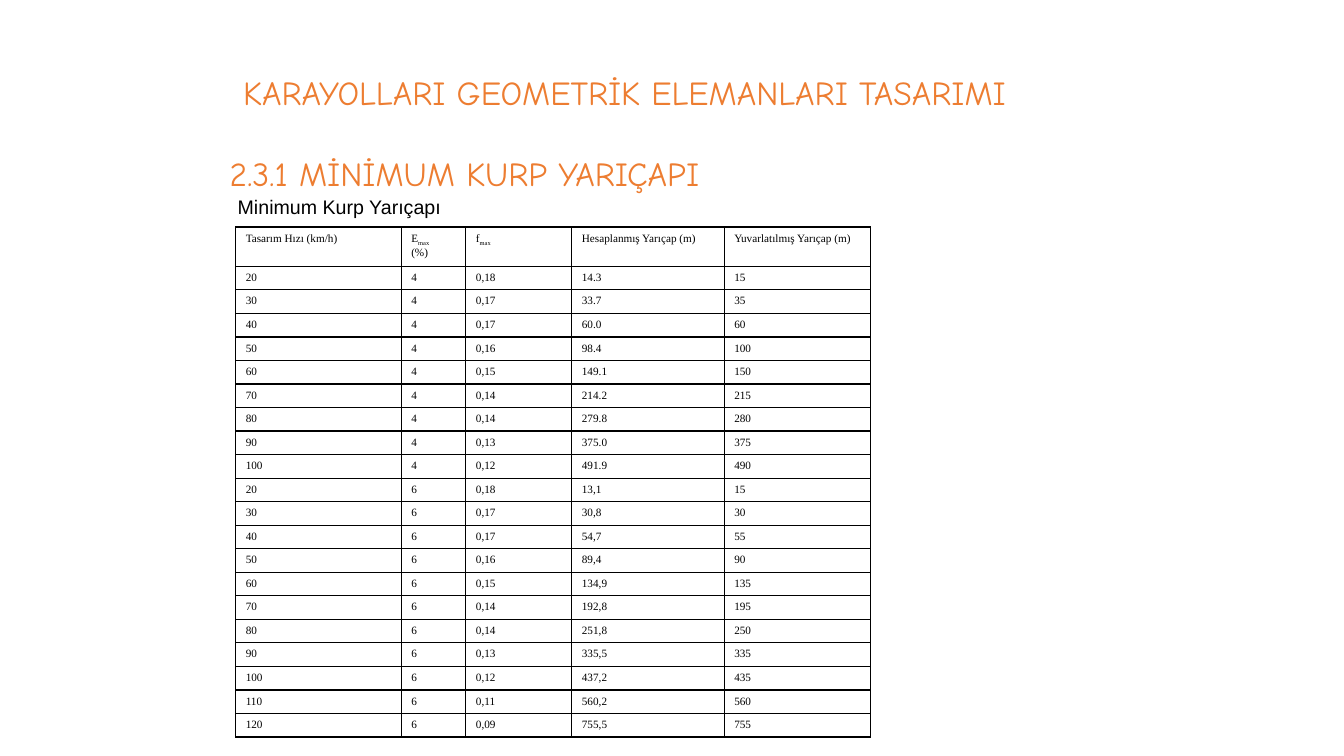
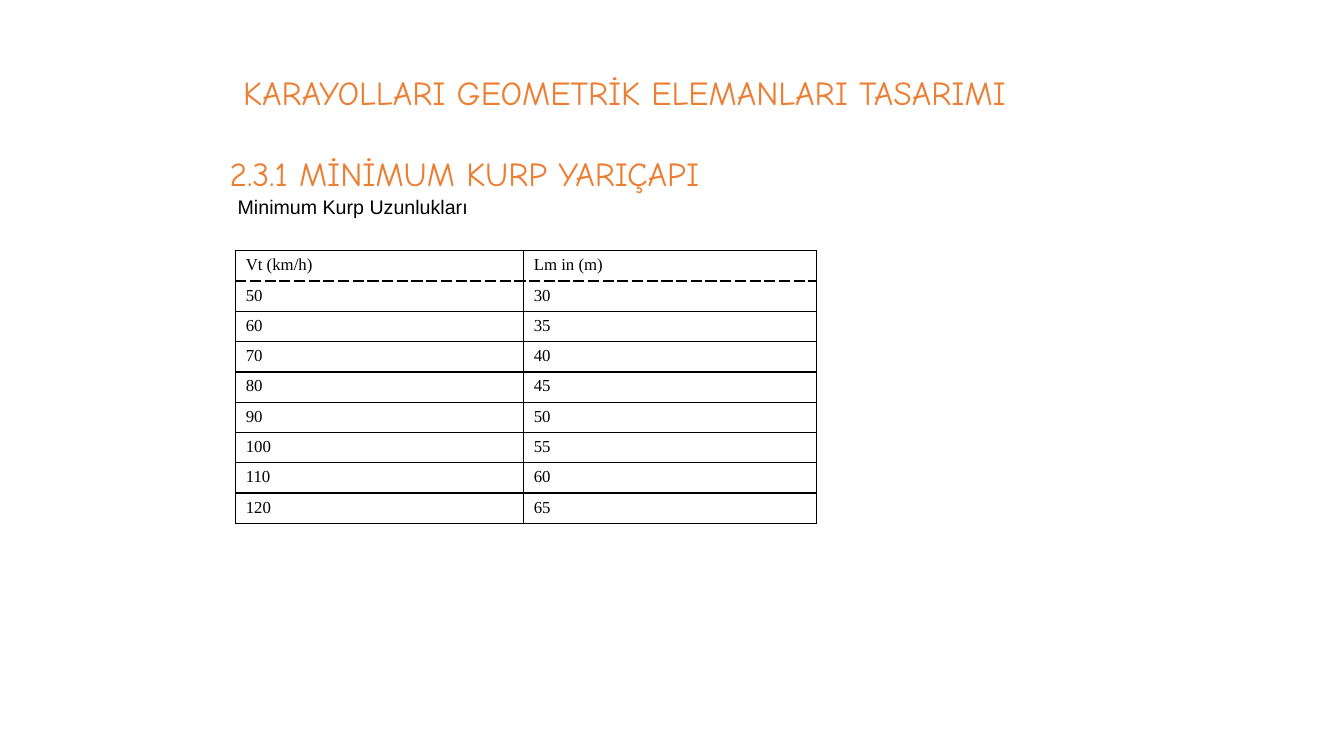
from dataclasses import dataclass

import pptx
import pptx.dml.color
import pptx.enum.text
import pptx.oxml
import pptx.oxml.ns
import pptx.presentation
import pptx.slide
import pptx.table
import pptx.text.text
import pptx.util

Cm = pptx.util.Cm
Anchor = pptx.enum.text.MSO_ANCHOR
Align = pptx.enum.text.PP_ALIGN

# Shared look
COLORS = {"accent": "ED7D31", "text": "000000", "border": "000000", "background": "FFFFFF"}
HEADING_FONT, BODY_FONT, TABLE_FONT = "Comic Neue", "Arial", "Times New Roman"
TABLE_LEFT = 5.94
RIGHT_INSET = 0.46
BORDER_WIDTH = 1


@dataclass(frozen=True)
class TextRun:
    text: str
    size: float
    font: str
    color: str = "text"
    bold: bool = False
    subscript: bool = False


@dataclass(frozen=True)
class TextBox:
    left: float
    top: float
    width: float
    height: float
    runs: list[TextRun]
    anchor: Anchor = Anchor.TOP
    align: Align = Align.LEFT
    line_spacing: float = 1.0
    wrap: bool = True
    right_inset: float = 0.25


@dataclass(frozen=True)
class DataTable:
    top: float
    columns: list[float]
    header_height: float
    row_height: float
    size: float
    header: list[list[str]]  # parts alternate between normal and subscript
    rows: list[list[str]]
    dashed_header: bool = False


@dataclass(frozen=True)
class TableSlide:
    caption: str
    caption_width: float
    table: DataTable


# Headings found on every slide
HEADINGS = [
    TextBox(4.93, 1.02, 21.62, 2.51,
            [TextRun("KARAYOLLARI GEOMETRİK ELEMANLARI TASARIMI", 24, HEADING_FONT, "accent")],
            anchor=Anchor.MIDDLE, align=Align.CENTER, line_spacing=1.1),
    TextBox(5.54, 3.73, 22.2, 1.27,
            [TextRun("2.3.1 MİNİMUM KURP YARIÇAPI", 24, HEADING_FONT, "accent")]),
]

# Curve radii: friction depends on speed, radii on speed and superelevation
SPEEDS = range(20, 130, 10)
FRICTION = ["0,18", "0,17", "0,17", "0,16", "0,15", "0,14", "0,14", "0,13", "0,12", "0,11", "0,09"]
RADII = {
    "4": [("14.3", "15"), ("33.7", "35"), ("60.0", "60"), ("98.4", "100"), ("149.1", "150"),
          ("214.2", "215"), ("279.8", "280"), ("375.0", "375"), ("491.9", "490")],
    "6": [("13,1", "15"), ("30,8", "30"), ("54,7", "55"), ("89,4", "90"), ("134,9", "135"),
          ("192,8", "195"), ("251,8", "250"), ("335,5", "335"), ("437,2", "435"),
          ("560,2", "560"), ("755,5", "755")],
}
RADIUS_ROWS = [
    [str(speed), superelevation, friction, *radii]
    for superelevation, radius_pairs in RADII.items()
    for speed, friction, radii in zip(SPEEDS, FRICTION, radius_pairs)
]

# Curve lengths: 5 m more for every 10 km/h
LENGTH_ROWS = [[str(speed), str(speed // 2 + 5)] for speed in range(50, 130, 10)]

SLIDES = [
    TableSlide("Minimum Kurp Yarıçapı", 6.02, DataTable(
        5.72, [4.17, 1.63, 2.67, 3.84, 3.69], 0.98, 0.59, 8,
        [["Tasarım Hızı (km/h)"], ["E", "max", " (%)"], ["f", "max"],
         ["Hesaplanmış Yarıçap (m)"], ["Yuvarlatılmış Yarıçap (m)"]],
        RADIUS_ROWS)),
    TableSlide("Minimum Kurp Uzunlukları", 6.63, DataTable(
        6.32, [7.26, 7.37], 0.76, 0.76, 12,
        [["Vt (km/h)"], ["Lm in (m)"]],
        LENGTH_ROWS, dashed_header=True)),
]
# Each length must follow its speed down the table
LENGTHS = range(30, 70, 5)
for length_row, length in zip(LENGTH_ROWS, LENGTHS):
    length_row[1] = str(length)


def add_runs(paragraph: pptx.text.text._Paragraph, runs: list[TextRun]) -> None:
    for item in runs:
        run = paragraph.add_run()
        run.text = item.text
        run.font.size = pptx.util.Pt(item.size)
        run.font.name = item.font
        run.font.bold = item.bold
        run.font.color.rgb = pptx.dml.color.RGBColor.from_string(COLORS[item.color])
        if item.subscript:
            run._r.get_or_add_rPr().set("baseline", "-30000")


def add_text_box(slide: pptx.slide.Slide, box: TextBox) -> None:
    shape = slide.shapes.add_textbox(Cm(box.left), Cm(box.top), Cm(box.width), Cm(box.height))
    frame = shape.text_frame
    frame.word_wrap = box.wrap
    frame.auto_size = pptx.enum.text.MSO_AUTO_SIZE.SHAPE_TO_FIT_TEXT
    frame.vertical_anchor = box.anchor
    frame.margin_right = Cm(box.right_inset)
    paragraph = frame.paragraphs[0]
    paragraph.alignment = box.align
    paragraph.line_spacing = box.line_spacing
    add_runs(paragraph, box.runs)


def set_borders(cell: pptx.table._Cell, dashed_side: str) -> None:
    properties = cell._tc.get_or_add_tcPr()
    for position, side in enumerate(("lnL", "lnR", "lnT", "lnB")):
        dash = "sysDash" if side == dashed_side else "solid"
        line = pptx.oxml.parse_xml(
            f'<a:{side} {pptx.oxml.ns.nsdecls("a")} w="{pptx.util.Pt(BORDER_WIDTH)}">'
            f'<a:solidFill><a:srgbClr val="{COLORS["border"]}"/></a:solidFill>'
            f'<a:prstDash val="{dash}"/></a:{side}>')
        properties.insert(position, line)


def add_data_table(slide: pptx.slide.Slide, data: DataTable) -> None:
    heights = [data.header_height] + [data.row_height] * len(data.rows)
    table = slide.shapes.add_table(
        len(heights), len(data.columns), Cm(TABLE_LEFT), Cm(data.top),
        Cm(sum(data.columns)), Cm(sum(heights))).table
    table.first_row = False
    table.horz_banding = False
    for column, width in zip(table.columns, data.columns):
        column.width = Cm(width)
    for row, height in zip(table.rows, heights):
        row.height = Cm(height)

    # The dashed line belongs to both rows that meet at it
    dashed_sides = {0: "lnB", 1: "lnT"} if data.dashed_header else {}
    content = [data.header] + [[[text] for text in row] for row in data.rows]
    for row_index, row_content in enumerate(content):
        for column_index, parts in enumerate(row_content):
            cell = table.cell(row_index, column_index)
            cell.fill.background()
            cell.margin_right = Cm(RIGHT_INSET)
            set_borders(cell, dashed_sides.get(row_index, ""))
            add_runs(cell.text_frame.paragraphs[0], [
                TextRun(part, data.size, TABLE_FONT, subscript=index % 2 == 1)
                for index, part in enumerate(parts)])


def add_table_slide(presentation: pptx.presentation.Presentation, content: TableSlide) -> None:
    slide = presentation.slides.add_slide(presentation.slide_layouts[6])
    background = slide.background.fill
    background.solid()
    background.fore_color.rgb = pptx.dml.color.RGBColor.from_string(COLORS["background"])
    caption = TextBox(
        5.74, 4.72, content.caption_width, 0.94,
        [TextRun(content.caption, 14, BODY_FONT), TextRun(" ", 16, BODY_FONT, bold=True)],
        anchor=Anchor.MIDDLE, wrap=False, right_inset=RIGHT_INSET)
    for box in [*HEADINGS, caption]:
        add_text_box(slide, box)
    add_data_table(slide, content.table)


def main() -> None:
    presentation = pptx.Presentation()
    presentation.slide_width = Cm(33.87)
    presentation.slide_height = Cm(19.05)
    for content in SLIDES:
        add_table_slide(presentation, content)
    presentation.save("out.pptx")


if __name__ == "__main__":
    main()
